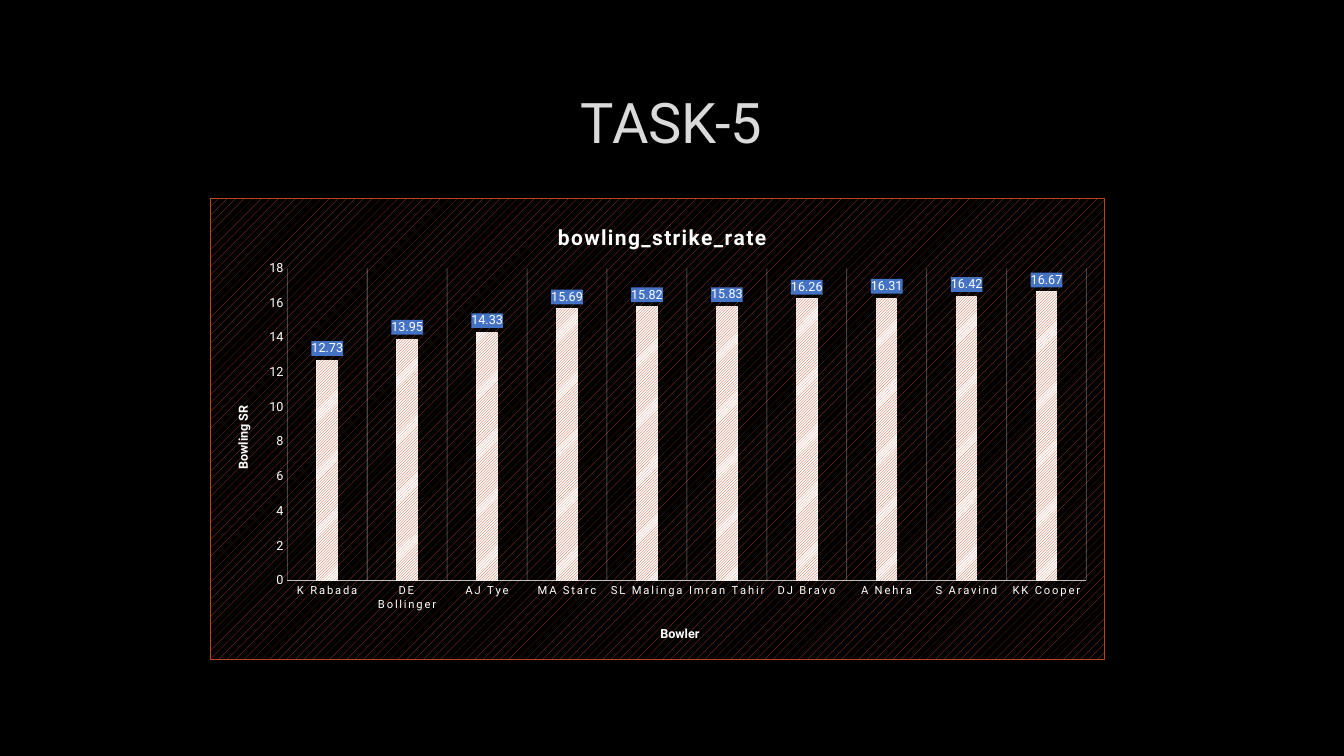
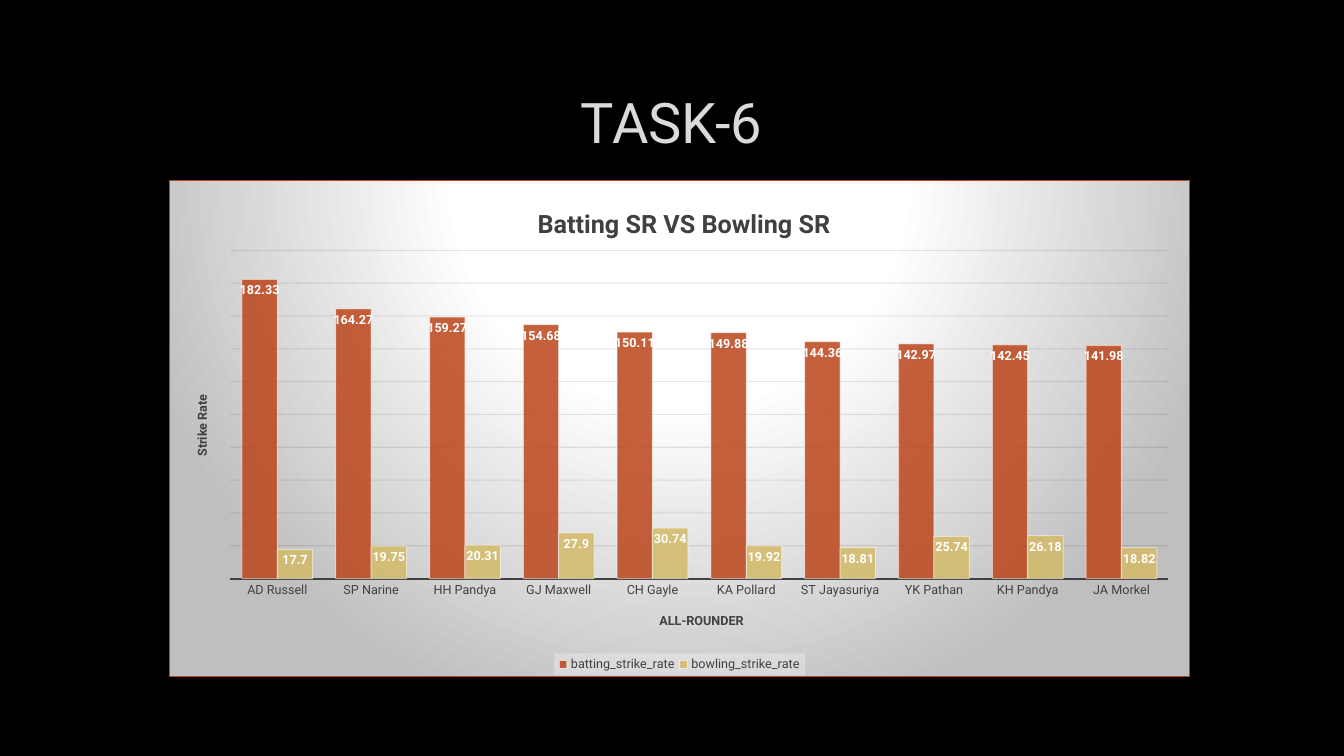
"""Build two slides that chart cricket strike rates."""
import pptx
import pptx.chart.data
import pptx.dml.color
import pptx.enum.chart
import pptx.enum.dml
import pptx.enum.text
import pptx.oxml
import pptx.oxml.ns
import pptx.util

RGB = pptx.dml.color.RGBColor
BLACK = RGB(0x00, 0x00, 0x00)
WHITE = RGB(0xFF, 0xFF, 0xFF)
PALE = RGB(0xDA, 0xDA, 0xDA)
SILVER = RGB(0xBF, 0xBF, 0xBF)
DARK = RGB(0x40, 0x40, 0x40)
INK = RGB(0x0D, 0x0D, 0x0D)
RUST = RGB(0xBC, 0x45, 0x1B)
SAND = RGB(0xD3, 0xBA, 0x68)
BLUE = RGB(0x44, 0x72, 0xC4)
MIST = RGB(0xF2, 0xF2, 0xF2)
FACE = "Roboto"
WIDE, HIGH = 1344, 756
SCALE = 12192000 / WIDE
TITLE = (101, 68, 1141, 107)
LABEL = pptx.enum.chart.XL_LABEL_POSITION
HATCH = pptx.enum.dml.MSO_PATTERN.LIGHT_UPWARD_DIAGONAL
SPACE = pptx.oxml.ns.nsdecls("c", "a")


def emu(px):
    return pptx.util.Emu(round(px * SCALE))


def style(font, size, color, bold=False):
    font.name = FACE
    font.size = pptx.util.Pt(size)
    font.bold = bold
    font.color.rgb = color


def write(frame, text, size, color, bold=False):
    run = frame.paragraphs[0].add_run()
    run.text = text
    style(run.font, size, color, bold)


def stroke(line, color, width):
    line.color.rgb = color
    line.width = pptx.util.Pt(width)


def find(chart, query):
    return chart.element.xpath(query)


def fade(chart, query, share):
    for node in find(chart, query + "//a:srgbClr"):
        node.append(pptx.oxml.parse_xml(f'<a:alpha {SPACE} val="{share * 1000}"/>'))


def track(chart, query, gap):
    for node in find(chart, query):
        node.set("spc", str(gap))


def paint(fill, line="<a:ln><a:noFill/></a:ln>"):
    return pptx.oxml.parse_xml(f"<c:spPr {SPACE}>{fill}{line}</c:spPr>")


def solid(color):
    return f'<a:solidFill><a:srgbClr val="{color}"/></a:solidFill>'


def hatch():
    return (f'<a:pattFill prst="dashUpDiag"><a:fgClr><a:srgbClr val="{RUST}"/></a:fgClr>'
            f'<a:bgClr><a:srgbClr val="{BLACK}"/></a:bgClr></a:pattFill>')


def glow():
    stops = "".join(f'<a:gs pos="{spot * 1000}"><a:srgbClr val="{color}"/></a:gs>'
                    for spot, color in ((0, WHITE), (39, WHITE), (100, SILVER)))
    return (f'<a:gradFill><a:gsLst>{stops}</a:gsLst><a:path path="circle">'
            '<a:fillToRect l="50000" t="-80000" r="50000" b="180000"/></a:path></a:gradFill>')


def place(chart, query, frame, box):
    """Pin a part of the chart to a place on the slide."""
    node = find(chart, query)[0]
    for old in node.xpath("c:layout"):
        node.remove(old)
    left, top, width, height = frame
    share = {"x": (box[0] - left) / width, "y": (box[1] - top) / height}
    if len(box) == 4:
        share.update(w=box[2] / width, h=box[3] / height)
    inner = '<c:layoutTarget val="inner"/>' if query.endswith("plotArea") else ""
    modes = '<c:xMode val="edge"/><c:yMode val="edge"/>'
    sizes = "".join(f'<c:{key} val="{part:.4f}"/>' for key, part in share.items())
    layout = pptx.oxml.parse_xml(f"<c:layout {SPACE}><c:manualLayout>{inner}{modes}{sizes}"
                                 "</c:manualLayout></c:layout>")
    if inner:
        node.insert(0, layout)
    else:
        node.xpath("c:overlay")[0].addprevious(layout)


def add_page(deck, title):
    page = deck.slides.add_slide(deck.slide_layouts[6])
    page.background.fill.solid()
    page.background.fill.fore_color.rgb = BLACK
    frame = page.shapes.add_textbox(*map(emu, TITLE)).text_frame
    frame.word_wrap = True
    frame.vertical_anchor = pptx.enum.text.MSO_ANCHOR.MIDDLE
    frame.paragraphs[0].alignment = pptx.enum.text.PP_ALIGN.CENTER
    write(frame, title, 40, PALE)
    return page


def add_bars(page, box, names, rows, fill, gap, lap):
    data = pptx.chart.data.CategoryChartData()
    data.categories = names
    for name, vals in rows.items():
        data.add_series(name, vals)
    kind = pptx.enum.chart.XL_CHART_TYPE.COLUMN_CLUSTERED
    chart = page.shapes.add_chart(kind, *map(emu, box), data).chart
    style(chart.font, 10, WHITE)
    line = f'<a:ln w="9525">{solid(RUST)}</a:ln>'
    find(chart, "c:chart")[0].addnext(paint(fill, line))
    plot = chart.plots[0]
    plot.vary_by_categories = False
    plot.gap_width, plot.overlap = gap, lap
    chart.has_legend = False
    return chart


def add_heads(chart, box, color, heads):
    """Write the chart title and both axis titles, each at its place."""
    chart.has_title = True
    owners = (chart.chart_title, chart.category_axis.axis_title, chart.value_axis.axis_title)
    queries = ("c:chart/c:title", "//c:catAx/c:title", "//c:valAx/c:title")
    for owner, query, (text, size, spot) in zip(owners, queries, heads):
        write(owner.text_frame, text, size, color, True)
        place(chart, query, box, spot)
    for body in find(chart, "//c:valAx/c:title//a:bodyPr"):
        body.set("rot", "-5400000")
        body.set("vert", "horz")


def set_axes(chart, top, step, size, color):
    none = pptx.enum.chart.XL_TICK_MARK.NONE
    for axis in (chart.category_axis, chart.value_axis):
        axis.major_tick_mark = axis.minor_tick_mark = none
        axis.has_major_gridlines = False
        style(axis.tick_labels.font, 9, color)
    chart.category_axis.tick_labels.font.size = pptx.util.Pt(size)
    axis = chart.value_axis
    axis.minimum_scale, axis.maximum_scale, axis.major_unit = 0, top, step
    axis.format.line.fill.background()


def add_grid(chart, axis, color, share):
    axis.has_major_gridlines = True
    stroke(axis.major_gridlines.format.line, color, 0.75)
    fade(chart, "//c:majorGridlines", share)


def add_labels(row, spot, bold):
    row.invert_if_negative = False
    tags = row.data_labels
    tags.show_value = True
    tags.position = spot
    style(tags.font, 9, WHITE, bold)


def add_key(chart, frame, box):
    chart.has_legend = True
    key = chart.legend
    key.position = pptx.enum.chart.XL_LEGEND_POSITION.BOTTOM
    key.include_in_layout = False
    style(key.font, 9, DARK)
    place(chart, "c:chart/c:legend", frame, box)
    find(chart, "c:chart/c:legend/c:overlay")[0].addnext(paint(solid(MIST)))
    fade(chart, "c:chart/c:legend/c:spPr", 39)


def add_bowlers(deck):
    box = (210, 198, 895, 462)
    names = ("K Rabada", "DE Bollinger", "AJ Tye", "MA Starc", "SL Malinga",
             "Imran Tahir", "DJ Bravo", "A Nehra", "S Aravind", "KK Cooper")
    rows = {"bowling_strike_rate": (12.73, 13.95, 14.33, 15.69, 15.82,
                                    15.83, 16.26, 16.31, 16.42, 16.67)}
    chart = add_bars(add_page(deck, "TASK-5"), box, names, rows, hatch(), 269, -20)
    set_axes(chart, 18, 2, 8, WHITE)
    add_heads(chart, box, WHITE, (("bowling_strike_rate", 15, (554, 219)),
                                  ("Bowler", 9, (658, 624)),
                                  ("Bowling SR", 9, (232, 403))))
    place(chart, "c:chart/c:plotArea", box, (287, 268, 800, 313))
    add_grid(chart, chart.category_axis, WHITE, 25)
    stroke(chart.category_axis.format.line, SILVER, 0.25)
    track(chart, "c:chart/c:title//a:rPr", 100)
    track(chart, "//c:catAx/c:txPr//a:defRPr", 120)
    row = chart.plots[0].series[0]
    fill = row.format.fill
    fill.patterned()
    fill.pattern = HATCH
    fill.fore_color.rgb, fill.back_color.rgb = RUST, WHITE
    add_labels(row, LABEL.OUTSIDE_END, False)
    find(chart, "//c:ser/c:dLbls/c:txPr")[0].addprevious(paint(solid(BLUE)))


def add_rounders(deck):
    box = (169, 180, 1021, 497)
    names = ("AD Russell", "SP Narine", "HH Pandya", "GJ Maxwell", "CH Gayle",
             "KA Pollard", "ST Jayasuriya", "YK Pathan", "KH Pandya", "JA Morkel")
    rows = {"batting_strike_rate": (182.33, 164.27, 159.27, 154.68, 150.11,
                                    149.88, 144.36, 142.97, 142.45, 141.98),
            "bowling_strike_rate": (17.7, 19.75, 20.31, 27.9, 30.74,
                                    19.92, 18.81, 25.74, 26.18, 18.82)}
    chart = add_bars(add_page(deck, "TASK-6"), box, names, rows, glow(), 65, 0)
    set_axes(chart, 200, 20, 9, DARK)
    add_heads(chart, box, DARK, (("Batting SR VS Bowling SR", 18, (533, 202)),
                                 ("ALL-ROUNDER", 9, (657, 611)),
                                 ("Strike Rate", 9, (191, 392))))
    place(chart, "c:chart/c:plotArea", box, (230, 250, 939, 329))
    add_grid(chart, chart.value_axis, INK, 10)
    chart.value_axis.visible = False
    stroke(chart.category_axis.format.line, DARK, 1.5)
    for row, color in zip(chart.plots[0].series, (RUST, SAND)):
        row.format.fill.solid()
        row.format.fill.fore_color.rgb = color
        stroke(row.format.line, WHITE, 0.75)
        add_labels(row, LABEL.INSIDE_END, True)
    fade(chart, "//c:ser/c:spPr/a:solidFill", 85)
    fade(chart, "//c:ser/c:spPr/a:ln", 50)
    add_key(chart, box, (554, 654, 251, 22))


def main():
    deck = pptx.Presentation()
    deck.slide_width, deck.slide_height = emu(WIDE), emu(HIGH)
    add_bowlers(deck)
    add_rounders(deck)
    deck.save("out.pptx")


if __name__ == "__main__":
    main()
